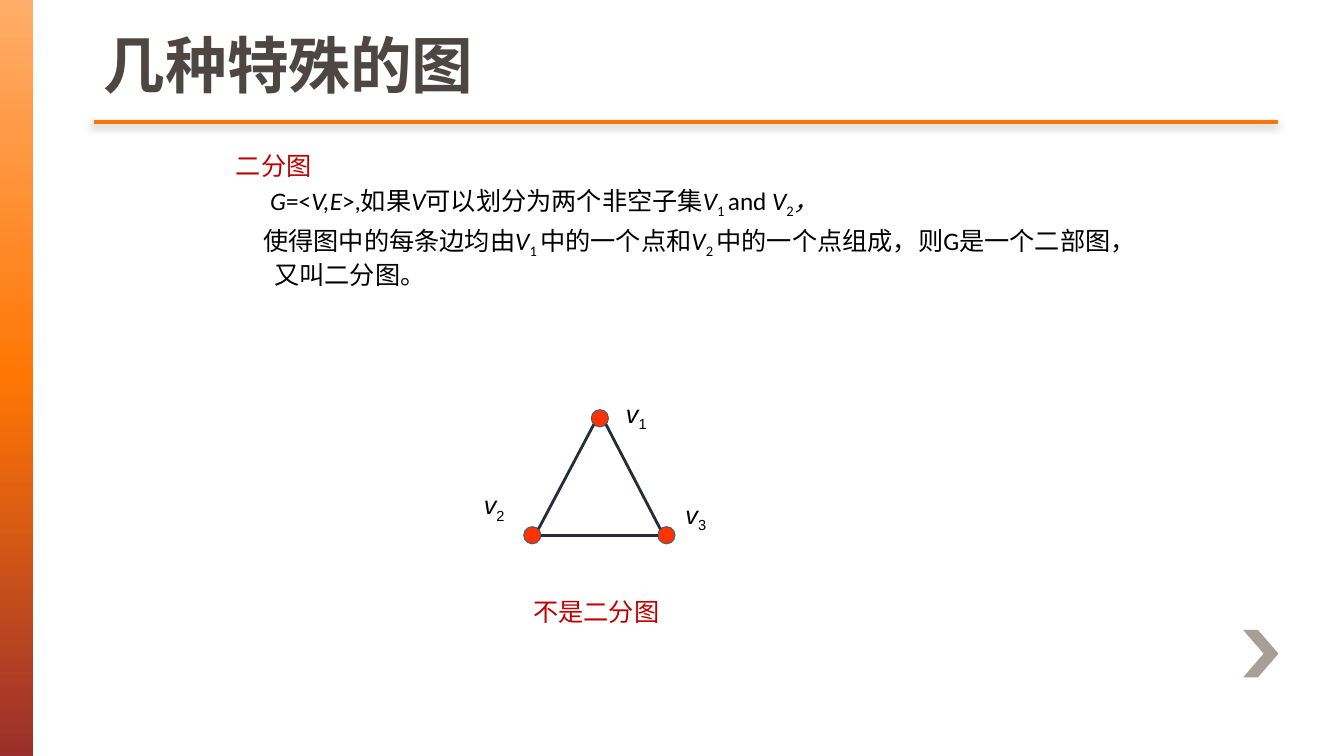
from math import cos, radians, sin

from lxml.etree import SubElement
from pptx import Presentation
from pptx.dml.color import RGBColor
from pptx.enum.shapes import MSO_CONNECTOR, MSO_SHAPE
from pptx.enum.text import MSO_ANCHOR, MSO_AUTO_SIZE, PP_ALIGN
from pptx.oxml.ns import qn
from pptx.util import Inches, Pt

COLORS = {
    "accent": "FF7605", "accent_light": "FFAD69", "accent_dark": "9A2F2C",
    "title": "4D4643", "heading": "C00000", "text": "000000",
    "chevron": "A79D99", "node": "FF3300", "rim": "4D5B6B", "edge": "262D36",
}


class SlideBuilder:
    def __init__(self, slide):
        self.s = slide

    def color(self, name):
        return RGBColor.from_string(COLORS[name])

    def place(self, sp, *box):
        for name, value in zip(("left", "top", "width", "height"), box):
            setattr(sp, name, Inches(value))

    def add_runs(self, p, runs, size, font, color, **extra):
        """Runs are (text, style); style holds i for italic, s for subscript."""
        for text, style in runs:
            r = p.add_run()
            r.text = text
            fmt = {"size": Pt(size), "name": font, "italic": "i" in style, **extra}
            for name, value in fmt.items():
                setattr(r.font, name, value)
            r.font.color.rgb = self.color(color)
            if "s" in style:
                r.font._element.set("baseline", "-25000")

    def frame(self, sp, anchor=MSO_ANCHOR.TOP):
        tf = sp.text_frame
        fmt = {"word_wrap": True, "auto_size": MSO_AUTO_SIZE.NONE,
               "vertical_anchor": anchor}
        for name, value in fmt.items():
            setattr(tf, name, value)
        return tf

    def title(self, text, box):
        sp = self.s.shapes.title
        self.place(sp, *box)
        p = self.frame(sp, MSO_ANCHOR.BOTTOM).paragraphs[0]
        p.alignment = PP_ALIGN.LEFT
        self.add_runs(p, [(text, "")], 44, "Arial", "title", bold=True)

    def body(self, paragraphs, box, margin):
        sp = self.s.placeholders[1]
        self.place(sp, *box)
        tf = self.frame(sp)
        for n, (indent, color, runs) in enumerate(paragraphs):
            p = tf.add_paragraph() if n else tf.paragraphs[0]
            pPr = p._p.get_or_add_pPr()
            pPr.set("marL", str(Inches(margin)))
            pPr.set("indent", str(Inches(indent)))
            SubElement(pPr, qn("a:buNone"))
            p.space_before = Pt(3.6 if n else 0)
            self.add_runs(p, runs, 18, "Calibri", color)

    def label(self, runs, box, font, color):
        sp = self.s.shapes.add_textbox(*map(Inches, box))
        self.add_runs(self.frame(sp).paragraphs[0], runs, 18, font, color)

    def shape(self, kind, box, fill=None, line=None):
        sp = self.s.shapes.add_shape(kind, *map(Inches, box))
        sp.shadow.inherit = False
        if fill:
            sp.fill.solid()
            sp.fill.fore_color.rgb = self.color(fill)
        if line:
            sp.line.color.rgb = self.color(line)
            sp.line.width = Pt(0.75)
        else:
            sp.line.fill.background()
        return sp

    def gradient_bar(self, box, stops):
        sp = self.shape(MSO_SHAPE.RECTANGLE, box)
        sp.fill.gradient()
        sp.fill.gradient_angle = 270
        gs_list = sp._element.spPr.find(".//" + qn("a:gsLst"))
        for gs in list(gs_list):
            gs_list.remove(gs)
        for pos, name in stops:
            gs = SubElement(gs_list, qn("a:gs"), pos=str(pos * 1000))
            SubElement(gs, qn("a:srgbClr"), val=COLORS[name])

    def line(self, start, end, color, width, shadow=False):
        sp = self.s.shapes.add_connector(
            MSO_CONNECTOR.STRAIGHT, *map(Inches, (*start, *end)))
        sp.line.color.rgb = self.color(color)
        sp.line.width = Pt(width)
        effects = SubElement(sp._element.spPr, qn("a:effectLst"))
        if shadow:
            outer = SubElement(effects, qn("a:outerShdw"), blurRad=str(Pt(5)),
                               dist=str(Pt(3)), dir=str(135 * 60000), rotWithShape="0")
            clr = SubElement(outer, qn("a:srgbClr"), val=COLORS["text"])
            SubElement(clr, qn("a:alpha"), val="45000")


def main():
    prs = Presentation()
    prs.slide_width, prs.slide_height = Inches(13.33), Inches(7.5)
    b = SlideBuilder(prs.slides.add_slide(prs.slide_layouts[1]))

    # Side bar, chevron and title rule
    b.gradient_bar((0, 0, 0.33, 7.5),
                   [(0, "accent_light"), (50, "accent"), (100, "accent_dark")])
    chevron = b.shape(MSO_SHAPE.CHEVRON, (12.33, 6.25, 0.35, 0.47), "chevron")
    chevron.adjustments[0] = 0.58
    b.line((0.93, 1.21), (12.68, 1.21), "accent", 2.5, shadow=True)

    # Title and definition
    b.title("几种特殊的图", (0.93, 0, 11.68, 1.05))
    b.body([
        (-0.38, "heading", [("二分图", "")]),
        (-0.04, "text", [
            ("G", "i"), ("=<", ""), ("V,E", "i"), (">,如果", ""), ("V", "i"),
            ("可以划分为两个非空子集", ""), ("V", "i"), ("1 ", "s"), ("and ", ""),
            ("V", "i"), ("2", "s"), ("，", "i")]),
        (-0.11, "text", [
            ("使得图中的每条边均由", ""), ("V", "i"), ("1 ", "s"),
            ("中的一个点和", ""), ("V", "i"), ("2 ", "s"),
            ("中的一个点组成，则G是一个二部图，又叫二分图。", "")]),
    ], (2.24, 1.44, 9.09, 3.08), 0.38)

    # Triangle graph: node centres and label corners
    d = 0.17
    nodes = {"1": ((5.95, 4.15), (6.11, 3.9)),
             "2": ((5.28, 5.31), (4.7, 4.81)),
             "3": ((6.61, 5.31), (6.7, 4.9))}

    def rim(name, angle):
        (x, y), a = nodes[name][0], radians(angle)
        return x + d / 2 * cos(a), y - d / 2 * sin(a)

    for (x, y), _ in nodes.values():
        b.shape(MSO_SHAPE.FLOWCHART_CONNECTOR, (x - d / 2, y - d / 2, d, d),
                "node", "rim")
    for start, end, angle in (("2", "1", 45), ("2", "3", 0), ("3", "1", 135)):
        b.line(rim(start, angle), rim(end, angle + 180), "edge", 2)
    for name, (_, corner) in nodes.items():
        b.label([("v", "i"), (name, "s")], (*corner, 0.75, 0.4), "Arial", "text")

    # Caption
    b.label([("不是二分图", "")], (5.19, 5.87, 3.76, 0.55),
            "Times New Roman", "heading")

    prs.save("out.pptx")


if __name__ == "__main__":
    main()
